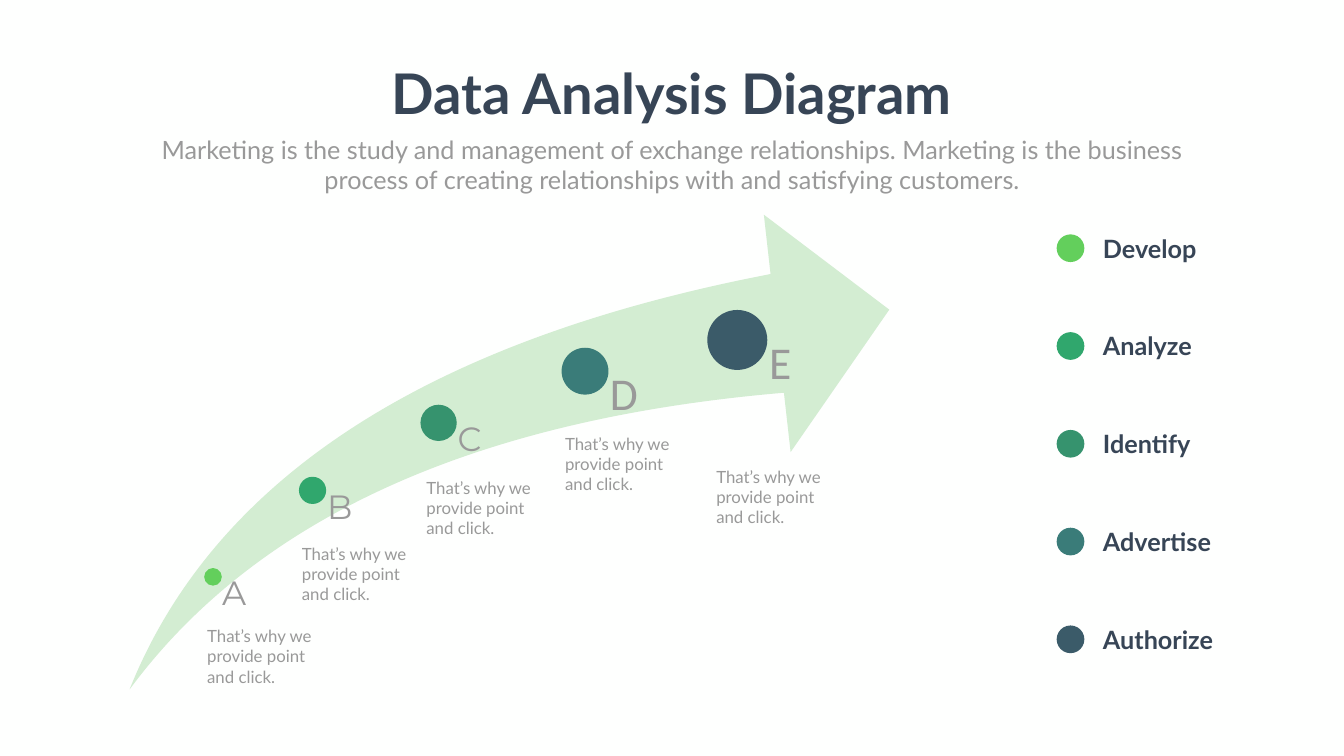
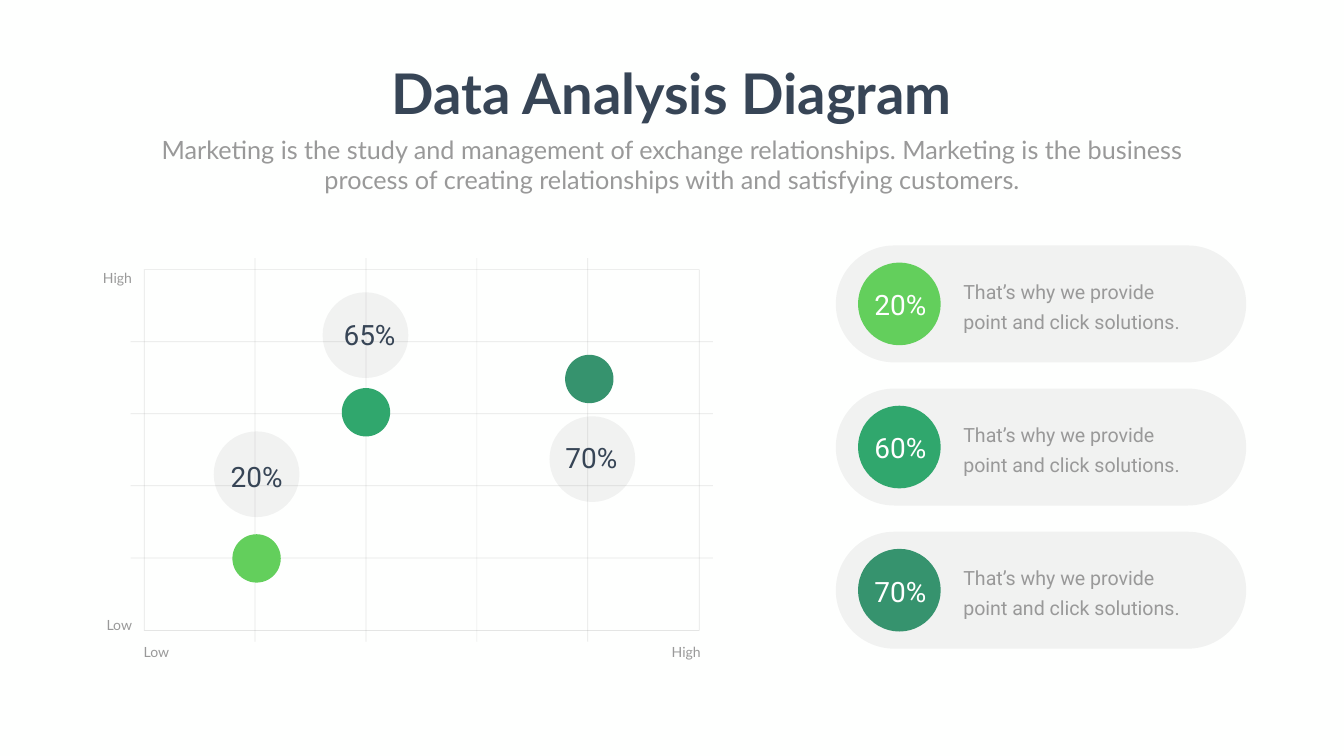
from pptx import Presentation
from pptx.dml.color import RGBColor
from pptx.enum import shapes, text
from pptx.oxml.ns import qn
from pptx.util import Inches, Pt
from lxml import etree

# Colours
PAPER = RGBColor(0xFE, 0xFF, 0xFE)
WHITE = RGBColor(0xFF, 0xFF, 0xFF)
NAVY = RGBColor(0x37, 0x45, 0x56)
GREY = RGBColor(0x99, 0x99, 0x99)
MID_GREY = RGBColor(0x80, 0x80, 0x80)
PALE_GREEN = RGBColor(0xD3, 0xED, 0xD2)
STEPS = [
    RGBColor(0x63, 0xCF, 0x5C),
    RGBColor(0x30, 0xA7, 0x6D),
    RGBColor(0x36, 0x93, 0x6E),
    RGBColor(0x3A, 0x7C, 0x79),
    RGBColor(0x3B, 0x5B, 0x69),
]

# Shared wording
TITLE = "Data Analysis Diagram"
SUBTITLE = (
    "Marketing is the study and management of exchange relationships. "
    "Marketing is the business process of creating relationships with "
    "and satisfying customers."
)

SHAPE = shapes.MSO_SHAPE
LEFT, CENTER, RIGHT = text.PP_ALIGN.LEFT, text.PP_ALIGN.CENTER, text.PP_ALIGN.RIGHT


def set_opacity(fill_owner, percent):
    """Make the solid colour inside a shape's fill or line see-through."""
    color = fill_owner.find(qn("a:solidFill")).find(qn("a:srgbClr"))
    etree.SubElement(color, qn("a:alpha")).set("val", str(percent * 1000))


def add_filled(s, kind, x, y, w, h, color, opacity=None):
    sp = s.shapes.add_shape(kind, Inches(x), Inches(y), Inches(w), Inches(h))
    sp.shadow.inherit = False
    sp.fill.solid()
    sp.fill.fore_color.rgb = color
    sp.line.fill.background()
    if opacity:
        set_opacity(sp._element.spPr, opacity)
    return sp


def add_circle(s, x, y, size, color, opacity=None):
    return add_filled(s, SHAPE.OVAL, x, y, size, size, color, opacity)


def add_text(s, x, y, w, h, words, size, color=GREY, font="Lato", bold=False,
             align=LEFT, wrap=True, grow=True, margins=None, spacing=None):
    sp = s.shapes.add_textbox(Inches(x), Inches(y), Inches(w), Inches(h))
    tf = sp.text_frame
    tf.text = words
    tf.word_wrap = wrap
    tf.auto_size = (text.MSO_AUTO_SIZE.SHAPE_TO_FIT_TEXT if grow
                    else text.MSO_AUTO_SIZE.NONE)
    if margins:
        (tf.margin_left, tf.margin_top,
         tf.margin_right, tf.margin_bottom) = map(Inches, margins)
    p = tf.paragraphs[0]
    p.alignment = align
    if spacing:
        p.line_spacing = spacing
    r = p.runs[0]
    r.font.name = font
    r.font.size = Pt(size)
    r.font.bold = bold
    r.font.color.rgb = color


def style_grid_line(sp):
    sp.line.color.rgb = MID_GREY
    sp.line.width = Pt(1)
    set_opacity(sp._element.spPr.find(qn("a:ln")), 20)


def add_grid_line(s, x1, y1, x2, y2):
    line = s.shapes.add_connector(shapes.MSO_CONNECTOR.STRAIGHT, Inches(x1),
                                  Inches(y1), Inches(x2), Inches(y2))
    style_grid_line(line)
    etree.SubElement(line._element.spPr, qn("a:effectLst"))


def add_percent(s, x, y, words, color):
    add_text(s, x, y, 1.64, 0.77, words, 40, color, "Roboto", align=CENTER)


def add_heading(s):
    add_text(s, 7.53, 1.12, 11.59, 1.45, TITLE, 80, NAVY, bold=True,
             align=CENTER, wrap=False)
    add_text(s, 2.92, 2.61, 20.82, 1.31, SUBTITLE, 36, align=CENTER)


def add_blank_slide(prs):
    s = prs.slides.add_slide(prs.slide_layouts[6])
    s.background.fill.solid()
    s.background.fill.fore_color.rgb = PAPER
    return s


def add_growth_arrow(s):
    arrow = add_filled(s, SHAPE.SWOOSH_ARROW, 2.57, 4.26, 15.07, 9.42, PALE_GREEN)
    arrow.adjustments[0] = arrow.adjustments[1] = 0.25

    # Stop: letter, font, size, circle x, y, diameter, letter inset, width, note x, y
    stops = [
        ("A", "Montserrat", 48, 4.05, 11.27, 0.35, 0.18, 1.97, 4.01, 12.37),
        ("B", "Montserrat", 48, 5.93, 9.46, 0.54, 0.29, 2.5, 5.89, 10.74),
        ("C", "Montserrat", 48, 8.34, 8.03, 0.72, 0.38, 2.91, 8.36, 9.43),
        ("D", "Calibri", 65, 11.14, 6.9, 0.93, 0.49, 3.01, 11.11, 8.55),
        ("E", "Calibri", 65, 14.03, 6.15, 1.19, 0.63, 3.01, 14.11, 9.21),
    ]
    arrow_bottom = 13.68
    for color, stop in zip(STEPS, stops):
        letter, font, size, x, y, d, inset, w, note_x, note_y = stop
        add_circle(s, x, y, d, color)
        top = y + d / 2
        add_text(s, x + d / 2, top, w, arrow_bottom - top, letter, size,
                 font=font, grow=False, margins=(inset, 0, 0, 0), spacing=0.9)
        add_text(s, note_x, note_y, 2.65, 1.31,
                 "That’s why we provide point and click.", 24)


def add_legend(s):
    names = ["Develop", "Analyze", "Identify", "Advertise", "Authorize"]
    for i, (name, color) in enumerate(zip(names, STEPS)):
        y = 4.65 + 1.94 * i
        add_circle(s, 20.96, y, 0.55, color)
        add_text(s, 21.78, y - 0.08, 2.61, 0.71, name, 36, NAVY, bold=True)


def add_plot_grid(s):
    frame = s.shapes.add_shape(SHAPE.RECTANGLE, Inches(2.86), Inches(5.35),
                               Inches(11.01), Inches(7.16))
    frame.shadow.inherit = False
    frame.fill.background()
    style_grid_line(frame)
    for i in range(4):
        x, y = 5.06 + 2.2 * i, 6.78 + 1.43 * i
        add_grid_line(s, x, 5.12, x, 12.73)
        add_grid_line(s, 2.59, y, 14.14, y)

    # Axis ends
    for x, y, words, align in [
        (2.85, 12.76, "Low", LEFT),
        (11.66, 12.76, "High", RIGHT),
        (0.38, 5.35, "High", RIGHT),
        (0.38, 12.23, "Low", RIGHT),
    ]:
        add_text(s, x, y, 2.24, 0.34, words, 20, align=align, margins=(0, 0, 0, 0))


def add_plot_points(s):
    # Dot x, y; bubble x, y; label x, y
    points = [
        ("20%", (4.61, 10.6), (4.24, 8.56), (4.27, 9.06)),
        ("65%", (6.78, 7.7), (6.4, 5.8), (6.51, 6.26)),
        ("70%", (11.21, 7.04), (10.9, 8.26), (10.91, 8.69)),
    ]
    for color, (words, dot, bubble, label) in zip(STEPS, points):
        add_circle(s, *dot, 0.96, color)
        add_circle(s, *bubble, 1.7, MID_GREY, opacity=10)
        add_percent(s, *label, words, NAVY)


def add_value_pills(s):
    for i, (words, color) in enumerate(zip(["20%", "60%", "70%"], STEPS)):
        y = 4.87 + 2.84 * i
        pill = add_filled(s, SHAPE.ROUNDED_RECTANGLE, 16.58, y, 8.14, 2.32,
                          MID_GREY, opacity=10)
        pill.adjustments[0] = 0.5
        add_circle(s, 17.02, y + 0.34, 1.64, color)
        add_percent(s, 17.04, y + 0.79, words, WHITE)
        add_text(s, 19.01, y + 0.5, 4.92, 1.25,
                 "That’s why we provide point and click solutions.", 28,
                 font="Roboto", spacing=Pt(43))


def main():
    prs = Presentation()
    prs.slide_width, prs.slide_height = Inches(26.66), Inches(15)

    # Growth arrow with legend
    s = add_blank_slide(prs)
    add_growth_arrow(s)
    add_legend(s)
    add_heading(s)

    # Low-to-high plot with values
    s = add_blank_slide(prs)
    add_plot_grid(s)
    add_value_pills(s)
    add_plot_points(s)
    add_heading(s)

    prs.save("out.pptx")


if __name__ == "__main__":
    main()
